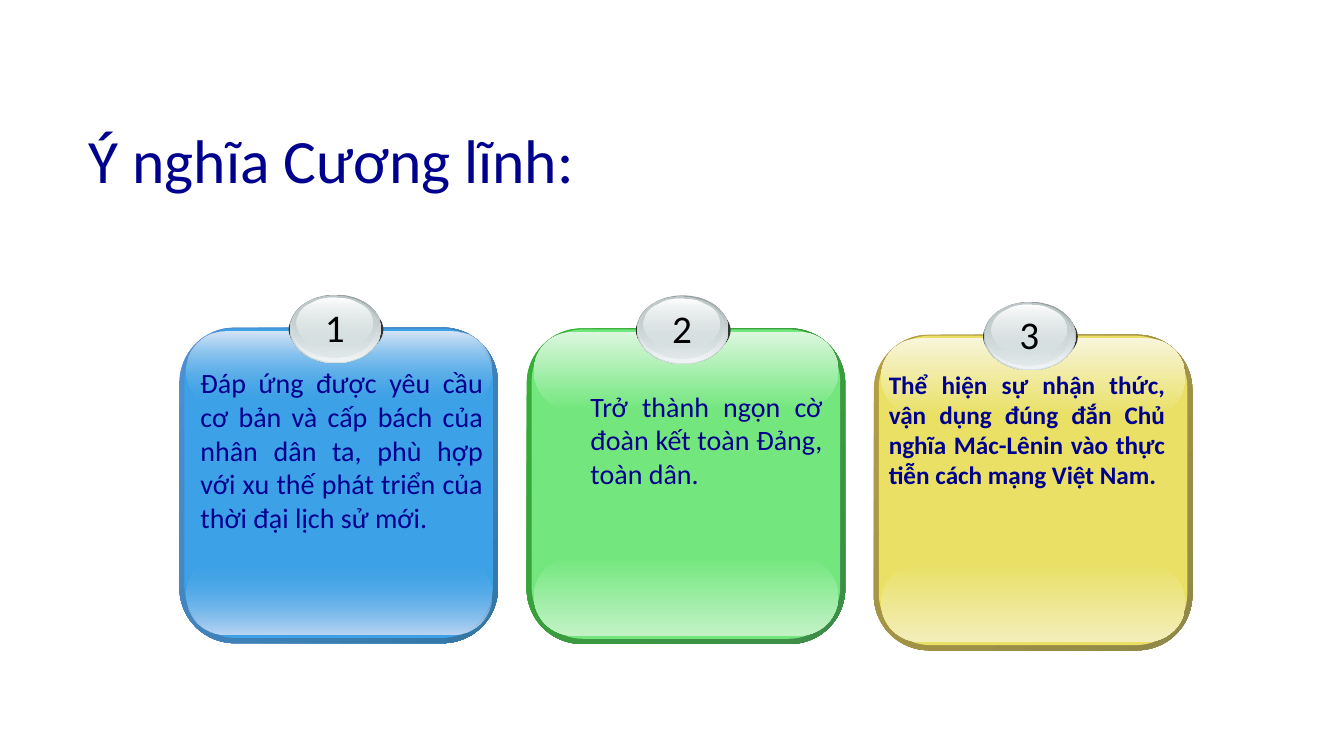
from pptx import Presentation
from pptx.dml.color import RGBColor
from pptx.enum.shapes import MSO_SHAPE as Shape
from pptx.enum.text import MSO_ANCHOR as Anchor, PP_ALIGN as Align
from pptx.oxml.ns import qn
from pptx.util import Pt
from lxml import etree

NAVY = RGBColor(0x00, 0x00, 0x8E)
BLACK = RGBColor(0x00, 0x00, 0x00)
WHITE = RGBColor(0xFF, 0xFF, 0xFF)
CHARCOAL = RGBColor(0x33, 0x33, 0x33)
STEEL = RGBColor(0x96, 0x9E, 0x9F)
SILVER = RGBColor(0xC0, 0xCA, 0xCB)
MIST = RGBColor(0xD6, 0xE1, 0xE2)
PEARL = RGBColor(0xF2, 0xF5, 0xF5)

BLUE = RGBColor(0x3C, 0xA1, 0xE6)
BLUE_RIM = (RGBColor(0x4E, 0x91, 0xD4), RGBColor(0x34, 0x77, 0xA4))
BLUE_SHINE = (RGBColor(0xD6, 0xE5, 0xF7), RGBColor(0xBB, 0xD5, 0xF3))
GREEN = RGBColor(0x73, 0xE7, 0x7E)
GREEN_RIM = (RGBColor(0x34, 0xB0, 0x34), RGBColor(0x3F, 0x8B, 0x4A))
GREEN_SHINE = (RGBColor(0xDC, 0xF7, 0xDE), RGBColor(0xC2, 0xF2, 0xC6))
YELLOW = RGBColor(0xE9, 0xE0, 0x65)
YELLOW_RIM = (RGBColor(0xB5, 0x9F, 0x43), RGBColor(0x8F, 0x88, 0x49))
YELLOW_SHINE = (RGBColor(0xF8, 0xF5, 0xDA), RGBColor(0xF3, 0xEE, 0xBA))

FONT = "Calibri"
CARD_LEFT, CARD_PITCH = 128.2, 248
DOWN, DIAGONAL = 270, 315

# Badge layers: offset from the card corner, size, colours, opacities
BADGE = [
    (78, -19.1, 67.7, 41, (CHARCOAL,), (100,)),
    (78.7, -23.6, 65.5, 49, (STEEL, MIST), (100, 100)),
    (79.4, -23.3, 64.1, 47.5, (MIST, PEARL), (0, 100)),
    (80, -22.9, 60.5, 44.6, (SILVER, MIST), (100, 47)),
    (83.7, -21.6, 54, 36, (WHITE, MIST), (100, 37)),
]

# Card top, face, rim, shine, opacity of the shine's inner end,
# text box (left, top, width, height) and text format
CARDS = [
    (234, BLUE, BLUE_RIM, BLUE_SHINE, 0, (136.1, 257.8, 216, 128.2),
     "Đáp ứng được yêu cầu cơ bản và cấp bách của nhân dân ta, phù hợp "
     "với xu thế phát triển của thời đại lịch sử mới.", {"size": 20}),
    (234.6, GREEN, GREEN_RIM, GREEN_SHINE, 100, (378.7, 274.3, 216, 79.9),
     "Trở thành ngọn cờ đoàn kết toàn Đảng, toàn dân.",
     {"size": 20, "level": 1}),
    (239.1, YELLOW, YELLOW_RIM, YELLOW_SHINE, 100, (591.8, 259.9, 247.7, 94.3),
     "Thể hiện sự nhận thức, vận dụng đúng đắn Chủ nghĩa Mác-Lênin vào "
     "thực tiễn cách mạng Việt Nam.", {"size": 18, "level": 1, "bold": True}),
]


def add_text(shapes, text, box, size, color=NAVY, bold=False, align=Align.LEFT,
             anchor=Anchor.TOP, level=0, line_spacing=None, wrap=True):
    frame = shapes.add_textbox(*map(Pt, box)).text_frame
    frame.word_wrap = wrap
    frame.vertical_anchor = anchor
    paragraph = frame.paragraphs[0]
    paragraph.alignment = align
    if line_spacing:
        paragraph.line_spacing = line_spacing
    if level:
        paragraph.level = level
        properties = paragraph._p.get_or_add_pPr()
        properties.set("marL", str(Pt(36 * level)))
        properties.set("indent", "0")
    run = paragraph.add_run()
    run.text = text
    run.font.name = FONT
    run.font.size = Pt(size)
    run.font.bold = bold
    run.font.color.rgb = color


def fill_gradient(shape, colors, opacities, angle):
    shape.fill.gradient()
    shape.fill.gradient_angle = angle
    for stop, color in zip(shape.fill.gradient_stops, colors):
        stop.color.rgb = color
    color_elements = shape._element.spPr.iter(qn("a:srgbClr"))
    for element, opacity in zip(list(color_elements), opacities):
        if opacity < 100:
            etree.SubElement(element, qn("a:alpha")).set("val", str(opacity * 1000))


def add_layer(shapes, kind, box, colors, opacities=(100, 100), angle=DOWN,
              rounding=None):
    shape = shapes.add_shape(kind, *map(Pt, box))
    shape.shadow.inherit = False
    shape.line.fill.background()
    if rounding is not None:
        shape.adjustments[0] = rounding
    if len(colors) == 1:
        shape.fill.solid()
        shape.fill.fore_color.rgb = colors[0]
    else:
        fill_gradient(shape, colors, opacities, angle)


def add_badge(shapes, number, left, top):
    for dx, dy, width, height, colors, opacities in BADGE:
        add_layer(shapes, Shape.OVAL, (left + dx, top + dy, width, height),
                  colors, opacities)
    add_text(shapes, str(number), (left + 96.6, top - 20.8, 28.8, 41), size=28,
             color=BLACK, align=Align.CENTER, wrap=False)


def add_card(slide, number, top, face, rim, shine, inner, text_box, text, style):
    left = CARD_LEFT + (number - 1) * CARD_PITCH
    shapes = slide.shapes.add_group_shape().shapes
    rounded = Shape.ROUNDED_RECTANGLE
    # Rim and face
    add_layer(shapes, rounded, (left, top, 227.5, 225.4), rim, angle=DIAGONAL,
              rounding=0.175)
    add_layer(shapes, rounded, (left + 3.6, top + 0.7, 220.3, 221), (face,),
              rounding=0.167)
    # Shine at the bottom and the top
    add_layer(shapes, rounded, (left + 5.2, top + 163.2, 217.4, 56.2),
              (face, shine[1]), (inner, 100), rounding=0.5)
    add_layer(shapes, rounded, (left + 5.2, top + 2.5, 217.4, 55.4),
              (shine[0], face), (100, inner), rounding=0.5)
    add_badge(shapes, number, left, top)
    add_text(shapes, text, text_box, align=Align.JUSTIFY, **style)


def main():
    presentation = Presentation()
    presentation.slide_width, presentation.slide_height = Pt(960), Pt(540)
    slide = presentation.slides.add_slide(presentation.slide_layouts[6])

    # Title
    add_text(slide.shapes, "Ý nghĩa Cương lĩnh:", (56.2, 72, 624.2, 90), size=44,
             anchor=Anchor.MIDDLE, line_spacing=0.9)
    # Numbered cards
    for number, card in enumerate(CARDS, start=1):
        add_card(slide, number, *card)

    presentation.save("out.pptx")


if __name__ == "__main__":
    main()
